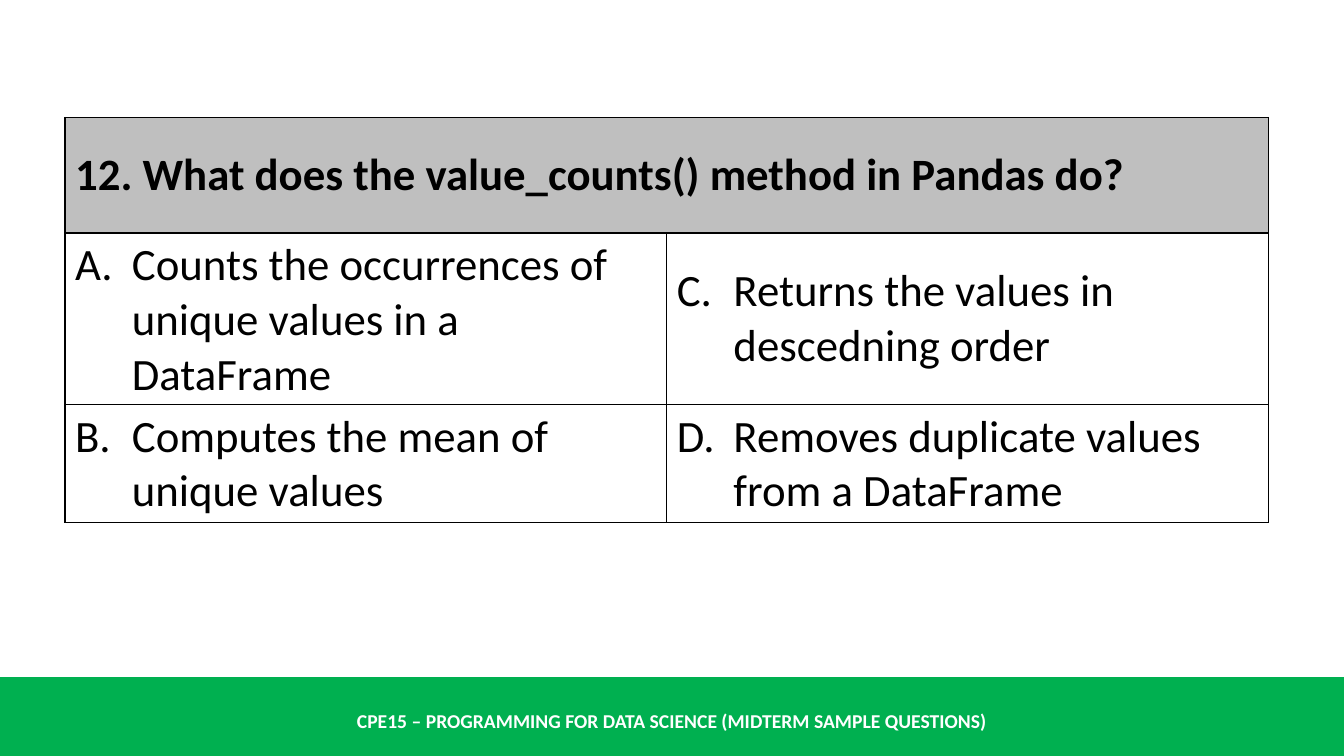
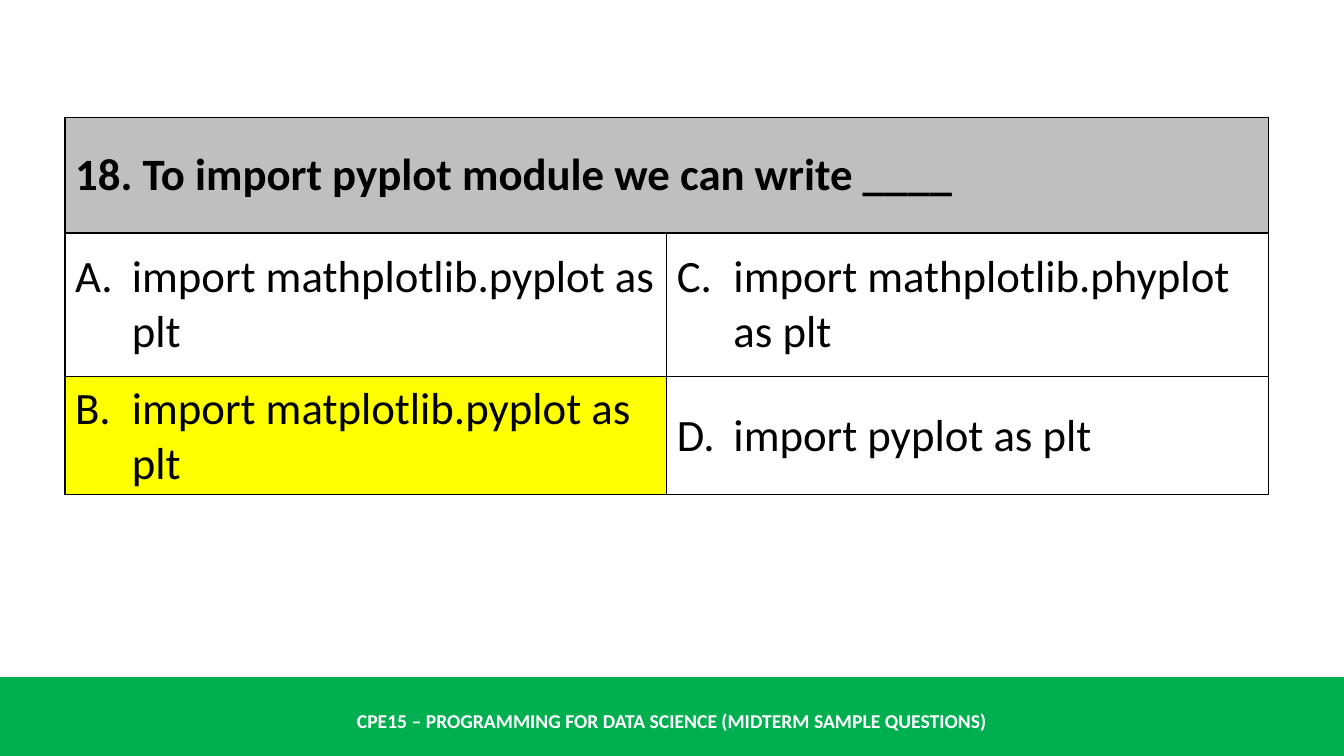
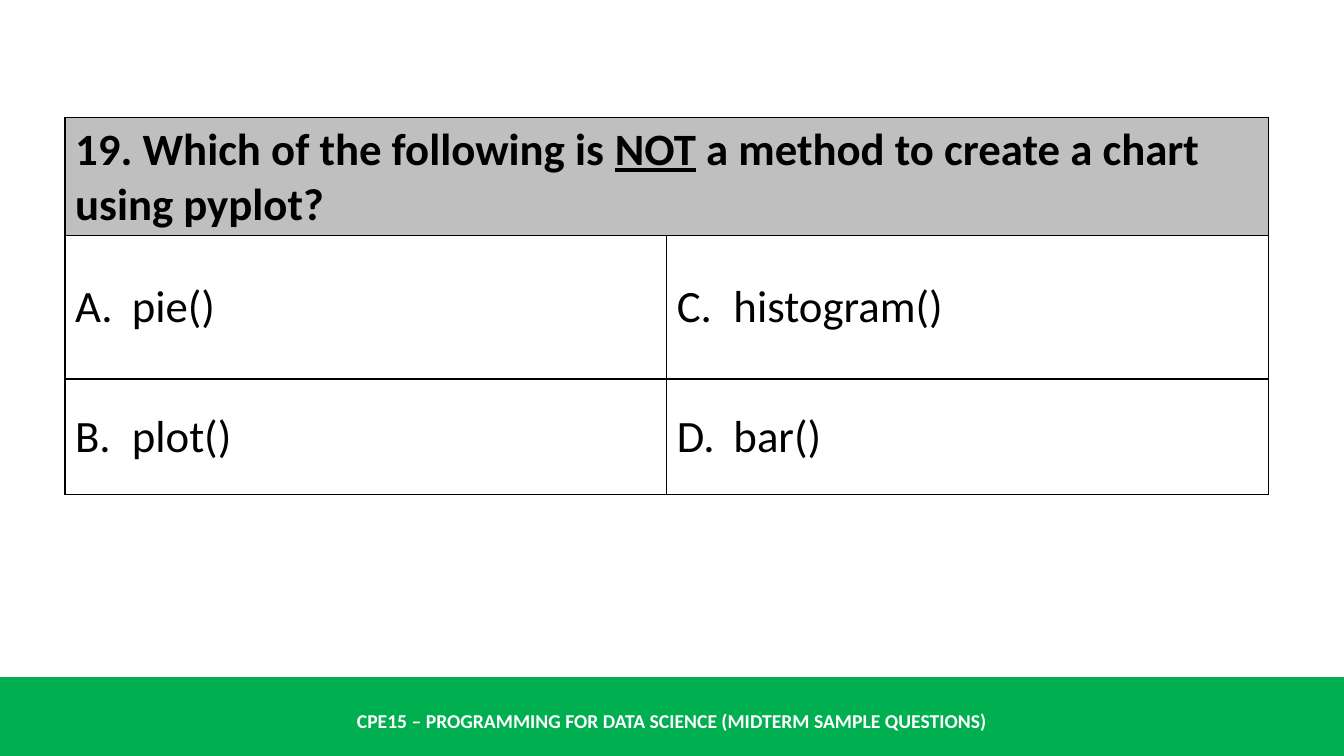
from dataclasses import dataclass

from lxml import etree
from pptx import Presentation, util as u
from pptx.dml.color import RGBColor
from pptx.enum import shapes, text
from pptx.oxml import ns

PX = 9525
SLIDE_W, SLIDE_H = 1280, 720
BAND_TOP = 645
FOOTER_TOP, FOOTER_H = 667, 38
TABLE_X, TABLE_Y = 62, 112
COLUMN_W, ROW_H, TALL_ROW_H = 573, 110, 137
ANSWER_INDENT = 54

FONT = "Calibri"
BLACK, WHITE, GREEN, GREY, YELLOW = "000000", "FFFFFF", "00B050", "BFBFBF", "FFFF00"
FOOTER = "CPE15 – PROGRAMMING FOR DATA SCIENCE (MIDTERM SAMPLE QUESTIONS)"


@dataclass
class Question:
    """A question whose second, fourth, ... prompt part is underlined."""
    prompt: tuple[str, ...]
    answers: tuple[str, str, str, str]
    first_answer_h: int = TALL_ROW_H
    highlighted: int | None = None


QUESTIONS = [
    Question(
        ("12. What does the value_counts() method in Pandas do?",),
        ("Counts the occurrences of unique values in a DataFrame",
         "Computes the mean of unique values",
         "Returns the values in descedning order",
         "Removes duplicate values from a DataFrame"),
        first_answer_h=ROW_H),
    Question(
        ("18. To import pyplot module we can write ____",),
        ("import mathplotlib.pyplot as plt", "import matplotlib.pyplot as plt",
         "import mathplotlib.phyplot as plt", "import pyplot as plt"),
        highlighted=1),
    Question(
        ("19. Which of the following is ", "NOT", " a method to create a chart using pyplot?"),
        ("pie()", "plot()", "histogram()", "bar()")),
]


def px(length: int) -> u.Emu:
    return u.Emu(length * PX)


def color(value: str) -> RGBColor:
    return RGBColor.from_string(value)


def format_runs(paragraph, size: int, value: str, bold: bool) -> None:
    for run in paragraph.runs:
        run.font.name, run.font.size, run.font.bold = FONT, u.Pt(size), bold
        run.font.color.rgb = color(value)


def set_borders(cell) -> None:
    properties = cell._tc.get_or_add_tcPr()
    for side in ("a:lnL", "a:lnR", "a:lnT", "a:lnB"):
        line = etree.SubElement(properties, ns.qn(side), w=str(u.Pt(1)))
        fill = etree.SubElement(line, ns.qn("a:solidFill"))
        etree.SubElement(fill, ns.qn("a:srgbClr"), val=BLACK)


def set_letter(paragraph, number: int) -> None:
    """Number the paragraph as an answer: 1 is A., 2 is B. and so on."""
    properties = paragraph._p.get_or_add_pPr()
    properties.set("marL", str(px(ANSWER_INDENT)))
    properties.set("indent", str(px(-ANSWER_INDENT)))
    etree.SubElement(properties, ns.qn("a:buFont"), typeface="+mj-lt")
    etree.SubElement(properties, ns.qn("a:buAutoNum"),
                     type="alphaUcPeriod", startAt=str(number))


def add_footer_band(layout, slide) -> None:
    """Draw the band and its text, then hand them to the layout for all slides."""
    for placeholder in list(layout.placeholders):
        layout.shapes.element.remove(placeholder.element)
    band = slide.shapes.add_shape(shapes.MSO_SHAPE.RECTANGLE, 0, px(BAND_TOP),
                                  px(SLIDE_W), px(SLIDE_H - BAND_TOP))
    band.shadow.inherit = False
    band.fill.solid()
    band.fill.fore_color.rgb = color(GREEN)
    band.line.fill.background()

    footer = slide.shapes.add_textbox(0, px(FOOTER_TOP), px(SLIDE_W), px(FOOTER_H))
    frame = footer.text_frame
    frame.word_wrap = True
    frame.vertical_anchor = text.MSO_ANCHOR.MIDDLE
    frame.text = FOOTER
    frame.paragraphs[0].alignment = text.PP_ALIGN.CENTER
    format_runs(frame.paragraphs[0], 14, WHITE, bold=True)
    for part in (band, footer):
        layout.shapes.element.append(part.element)


def add_question(slide, question: Question) -> None:
    heights = (ROW_H, question.first_answer_h, ROW_H)
    table = slide.shapes.add_table(3, 2, px(TABLE_X), px(TABLE_Y),
                                   px(2 * COLUMN_W), px(sum(heights))).table
    table.first_row = table.horz_banding = False
    for row, height in zip(table.rows, heights):
        row.height = px(height)
    for cell in table.iter_cells():
        set_borders(cell)
        cell.fill.background()
        cell.vertical_anchor = text.MSO_ANCHOR.MIDDLE

    header = table.cell(0, 0)
    header.merge(table.cell(0, 1))
    header.fill.solid()
    header.fill.fore_color.rgb = color(GREY)
    prompt = header.text_frame.paragraphs[0]
    for index, part in enumerate(question.prompt):
        run = prompt.add_run()
        run.text = part
        run.font.underline = index % 2 == 1
    format_runs(prompt, 32, BLACK, bold=True)

    for index, answer in enumerate(question.answers):
        column, row = divmod(index, 2)
        cell = table.cell(row + 1, column)
        cell.text_frame.text = answer
        paragraph = cell.text_frame.paragraphs[0]
        set_letter(paragraph, index + 1)
        format_runs(paragraph, 32, BLACK, bold=False)
        if index == question.highlighted:
            cell.fill.solid()
            cell.fill.fore_color.rgb = color(YELLOW)


def main() -> None:
    deck = Presentation()
    deck.slide_width, deck.slide_height = px(SLIDE_W), px(SLIDE_H)
    layout = deck.slide_layouts[6]
    slides = [deck.slides.add_slide(layout) for _ in QUESTIONS]
    add_footer_band(layout, slides[0])
    for slide, question in zip(slides, QUESTIONS):
        add_question(slide, question)
    deck.save("out.pptx")


if __name__ == "__main__":
    main()
